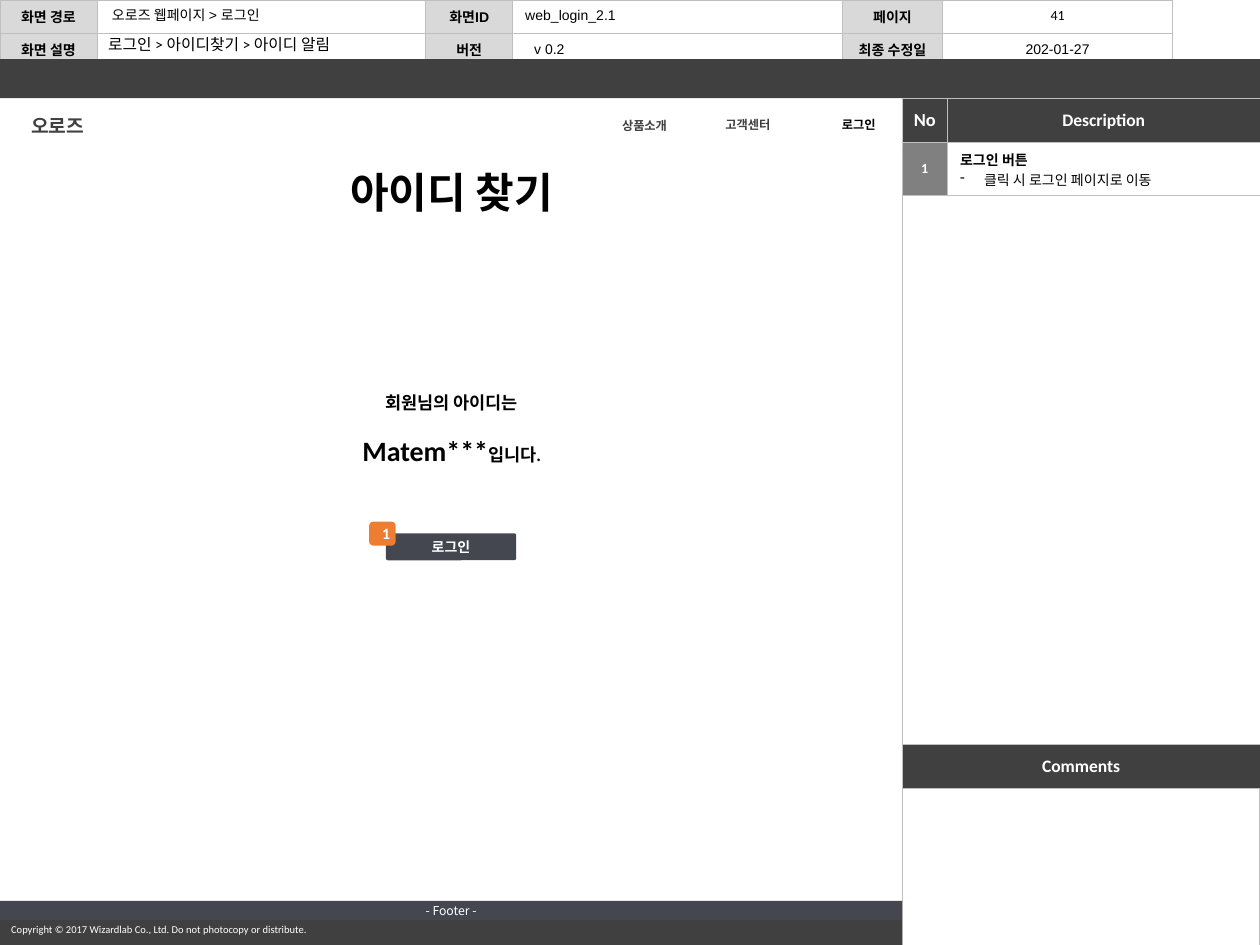
"""Build the wireframe slide for the ID lookup result page."""
from lxml import etree
from pptx import Presentation, util as u
from pptx.dml.color import RGBColor
from pptx.enum import shapes, text
from pptx.oxml import ns

BLACK = RGBColor(0, 0, 0)
WHITE = RGBColor(255, 255, 255)
CHARCOAL = RGBColor(0x40, 0x40, 0x40)
SLATE = RGBColor(0x44, 0x47, 0x50)
GRAY = RGBColor(0x80, 0x80, 0x80)
SILVER = RGBColor(0xBF, 0xBF, 0xBF)
PALE = RGBColor(0xD9, 0xD9, 0xD9)
ORANGE = RGBColor(0xED, 0x7D, 0x31)
LATIN, ARIAL, KOREAN = "Calibri", "Arial", "Noto Sans CJK KR"
LEFT, CENTER = text.PP_ALIGN.LEFT, text.PP_ALIGN.CENTER
TOP, MIDDLE = text.MSO_ANCHOR.TOP, text.MSO_ANCHOR.MIDDLE
RECT, ROUND = shapes.MSO_SHAPE.RECTANGLE, shapes.MSO_SHAPE.ROUNDED_RECTANGLE
PANEL, PANEL_WIDTH = 71.6, 28.4


def sub(parent, tag, **attributes):
    return etree.SubElement(parent, ns.qn(tag), attributes)


class Wireframe:
    """Holds the slide and its style on a grid of 100 columns by 75 rows."""

    def __init__(self, deck):
        self.deck = deck
        self.slide = deck.slides.add_slide(deck.slide_layouts[5])

    def grid(self, *lengths):
        return [round(length * self.deck.slide_width / 100) for length in lengths]

    def style(self, paragraph, size=8, color=BLACK, bold=False, font=LATIN,
              align=CENTER, spacing=None):
        paragraph.alignment = align
        if spacing:
            paragraph.line_spacing = spacing
        face = paragraph.font
        face.size, face.bold, face.name = u.Pt(size), bold, font
        face.color.rgb = color
        sub(paragraph._p.pPr.find(ns.qn("a:defRPr")), "a:ea", typeface=KOREAN)
        if not paragraph.runs:
            paragraph._p.get_or_add_endParaRPr().set("sz", str(round(size * 100)))

    def set_words(self, frame, words, anchor=TOP, wrap=True, **style):
        frame.word_wrap, frame.vertical_anchor = wrap, anchor
        frame.auto_size = text.MSO_AUTO_SIZE.NONE
        frame.text = words
        self.style(frame.paragraphs[0], **style)
        return frame

    def title(self, words, box, **style):
        heading = self.slide.shapes.title
        heading.left, heading.top, heading.width, heading.height = self.grid(*box)
        self.set_words(heading.text_frame, words, **style)

    def label(self, words, box, **style):
        holder = self.slide.shapes.add_textbox(*self.grid(*box))
        return self.set_words(holder.text_frame, words, **style)

    def block(self, box, fill, words="", kind=RECT, line=None, weight=0.5,
              corner=None, **style):
        shape = self.slide.shapes.add_shape(kind, *self.grid(*box))
        shape.shadow.inherit = False
        shape.fill.solid()
        shape.fill.fore_color.rgb = fill
        if line is None:
            shape.line.fill.background()
        else:
            shape.line.color.rgb, shape.line.width = line, u.Pt(weight)
        if corner is not None:
            shape.adjustments[0] = corner
        if words:
            self.set_words(shape.text_frame, words, MIDDLE, color=WHITE, **style)

    def rule(self, *ends):
        line = self.slide.shapes.add_connector(
            shapes.MSO_CONNECTOR.STRAIGHT, *self.grid(*ends))
        line.line.color.rgb, line.line.width = SILVER, u.Pt(0.5)
        sub(line._element.spPr, "a:effectLst")

    def table(self, left, top, columns, row_height, row_count, inset=0.7):
        size = sum(columns), row_height * row_count
        grid = self.slide.shapes.add_table(
            row_count, len(columns), *self.grid(left, top, *size)).table
        for column, width in zip(grid.columns, self.grid(*columns)):
            column.width = width
        for row in grid.rows:
            row.height = self.grid(row_height)[0]
        for cell in grid.iter_cells():
            cell.margin_left = cell.margin_right = self.grid(inset)[0]
            cell.vertical_anchor = MIDDLE
            properties = cell._tc.get_or_add_tcPr()
            for side in ("L", "R", "T", "B"):
                border = sub(properties, f"a:ln{side}", w=str(u.Pt(0.5)))
                sub(sub(border, "a:solidFill"), "a:srgbClr", val=str(SILVER))
        return grid

    def cell(self, cell, words, fill=None, **style):
        if fill is None:
            cell.fill.background()
        else:
            cell.fill.solid()
            cell.fill.fore_color.rgb = fill
        cell.text_frame.text = words
        self.style(cell.text_frame.paragraphs[0], **style)


def page_header(page):
    rows = [["화면 경로", "", "화면ID", "", "페이지", ""],
            ["화면 설명", "", "버전", "v 0.2", "최종 수정일", "202-01-27"]]
    header = page.table(0, 0, [7.7, 26.1, 6.9, 26.2, 7.9, 18.3], 2, 2)
    for r, row in enumerate(rows):
        for c, words in enumerate(row):
            caption = c % 2 == 0
            page.cell(header.cell(r, c), words, PALE if caption else None,
                      bold=caption, font=ARIAL, align=LEFT if c == 3 else CENTER)
    version = header.cell(1, 3).text_frame.paragraphs[0]
    version._p.pPr.set("marL", str(u.Inches(0.1)))
    page.block((0, 4.7, 100, 3.1), CHARCOAL)
    page.label("41", (75.8, 0, 16.3, 2.4))
    page.label("오로즈 웹페이지 > 로그인", (7.9, 0, 25.9, 2.4), font=ARIAL, align=LEFT)
    page.label("로그인 > 아이디찾기 > 아이디 알림", (7.6, 2.4, 26.2, 2.4),
               anchor=MIDDLE, size=9, align=LEFT, spacing=0.9)
    page.label("web_login_2.1", (40.7, 0.1, 26.2, 2.3),
               anchor=MIDDLE, font=ARIAL, align=LEFT, spacing=0.9)


def description_panel(page):
    heading = dict(fill=CHARCOAL, color=WHITE, bold=True)
    columns = [3.6, 24.8]
    captions = page.table(PANEL, 7.8, columns, 3.5, 1)
    page.cell(captions.cell(0, 0), "No", size=10.5, **heading)
    page.cell(captions.cell(0, 1), "Description", size=10, **heading)
    page.rule(PANEL, 7.8, PANEL, 75)
    page.block((PANEL, 59.1, PANEL_WIDTH, 15.9), WHITE, line=SILVER)
    comments = page.table(PANEL, 59.1, [PANEL_WIDTH], 3.5, 1)
    page.cell(comments.cell(0, 0), "Comments", size=10, **heading)

    notes = page.table(PANEL, 11.3, columns, 3.2, 1, inset=1)
    page.cell(notes.cell(0, 0), "1", GRAY, color=WHITE, bold=True)
    note = notes.cell(0, 1)
    page.cell(note, "로그인 버튼", WHITE, bold=True, align=LEFT)
    action = note.text_frame.add_paragraph()
    action.text = "클릭 시 로그인 페이지로 이동"
    bullet = action._p.get_or_add_pPr()
    bullet.set("marL", str(u.Inches(0.19)))
    bullet.set("indent", str(-u.Inches(0.19)))
    sub(bullet, "a:buChar", char="-")
    page.style(action, align=LEFT)


def web_page(page):
    page.block((0, 7.9, PANEL, 3.9), WHITE)
    menu = [("오로즈", (1.3, 8.5, 6.6, 2.9), 11, CHARCOAL),
            ("상품소개", (48.2, 8.9, 5.9, 2.2), 7, CHARCOAL),
            ("고객센터", (56.4, 8.8, 5.9, 2.2), 7, CHARCOAL),
            ("로그인", (65.2, 8.7, 5.9, 2.4), 7, BLACK)]
    for words, box, size, color in menu:
        page.label(words, box, anchor=MIDDLE, wrap=False, size=size,
                   color=color, bold=True)
    page.title("아이디 찾기", (23.2, 12.7, 25.3, 5), size=24, bold=True)

    result = page.label("회원님의 아이디는", (27.5, 30.6, 16.7, 7.1),
                        wrap=False, size=10, bold=True)
    found = result.add_paragraph()
    for words, size in (("Matem***", 16), ("입니다.", 10)):
        run = found.add_run()
        run.text, run.font.size = words, u.Pt(size)
    found.space_before = u.Pt(12)
    page.style(found, size=16, bold=True)

    page.block((30.7, 42.4, 10.2, 2), SLATE, "로그인", ROUND, SLATE, 1, 0.05, bold=True)
    page.block((29.3, 41.4, 2.1, 1.9), ORANGE, "1", ROUND, size=9, bold=True)


def footer(page):
    page.block((0, 73, PANEL, 2), CHARCOAL)
    page.label("Copyright © 2017 Wizardlab Co., Ltd. Do not photocopy or distribute.",
               (-0.1, 72.8, 29.5, 2), wrap=False, size=6, color=WHITE, align=LEFT)
    page.block((0, 71.5, PANEL, 1.5), SLATE, "- Footer -", size=7, font=KOREAN)


def main():
    deck = Presentation()
    deck.slide_width, deck.slide_height = u.Inches(10), u.Inches(7.5)
    page = Wireframe(deck)
    for section in (page_header, description_panel, web_page, footer):
        section(page)
    deck.save("out.pptx")


if __name__ == "__main__":
    main()
